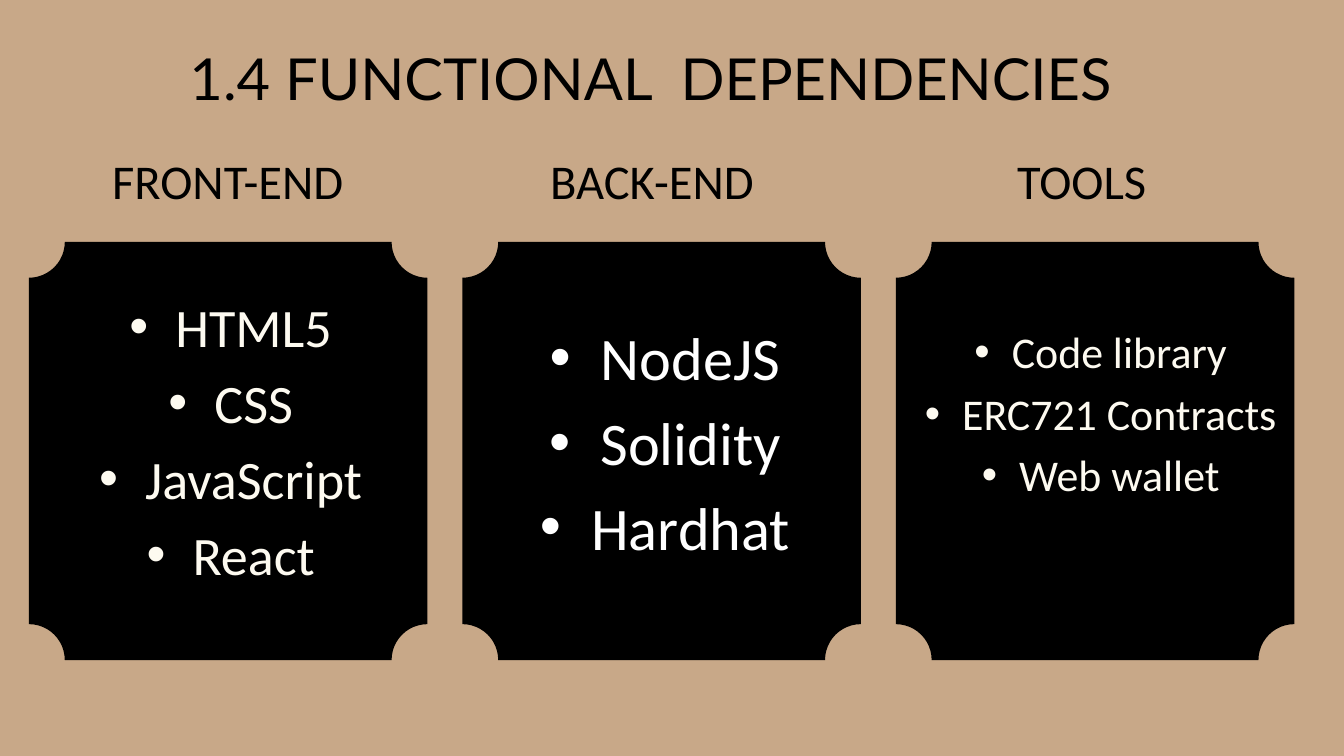
from lxml.etree import SubElement
from pptx import Presentation
from pptx.dml.color import RGBColor as RGB
from pptx.enum.shapes import MSO_SHAPE as Shape
from pptx.enum.text import MSO_ANCHOR as Anchor, MSO_AUTO_SIZE as AutoSize, PP_ALIGN as Align
from pptx.oxml.ns import qn
from pptx.util import Pt

TITLE = "1.4 FUNCTIONAL  DEPENDENCIES"
# Boxes are left, top, width, height in points.
COLUMNS = [
    dict(heading="FRONT-END", heading_box=(76, 151, 336, 70),
         items=["HTML5", "CSS", "JavaScript", "React"],
         items_box=(9, 303, 427, 321), size=58, color="FDFAF0"),
    dict(heading="BACK-END", heading_box=(552, 151, 293, 70),
         items=["NodeJS", "Solidity", "Hardhat"],
         items_box=(473, 330.5, 424, 267), size=64.7, color="FFFFFF"),
    dict(heading="TOOLS", heading_box=(1065, 151, 188, 70),
         items=["Code library", "ERC721 Contracts", "Web wallet"],
         items_box=(946, 339, 427, 258), size=47, color="FDFAF0"),
]
THEME = dict(background="C8A888", panel="000000", ink="000000",
             title_font="Lato", body_font="Calibri",
             title_size=62, heading_size=52, leading=1.4, indent=1.7)
SLIDE_SIZE = (1440, 810)
TITLE_BOX = (157, 33, 1081, 85)
PANEL_BOX = (31, 259.2, 427, 448)
PANEL_PITCH = 464.4
PANEL_NOTCH = 0.09


def place(shape, box):
    for side, length in zip(("left", "top", "width", "height"), box):
        setattr(shape, side, Pt(length))


def add_bullet(paragraph, indent):
    properties = paragraph._p.get_or_add_pPr()
    properties.set("marL", str(Pt(indent)))
    properties.set("indent", str(-Pt(indent / 2)))
    SubElement(properties, qn("a:buFont"), typeface="Arial")
    SubElement(properties, qn("a:buChar"), char="•")


def write(frame, lines, size, color, font, bulleted=False):
    """Fill a text frame with centred lines whose leading follows the type size."""
    frame_format = dict(word_wrap=True, auto_size=AutoSize.NONE, vertical_anchor=Anchor.TOP,
                        margin_left=0, margin_top=0, margin_right=0, margin_bottom=0)
    for name, value in frame_format.items():
        setattr(frame, name, value)
    for number, line in enumerate(lines):
        paragraph = frame.add_paragraph() if number else frame.paragraphs[0]
        paragraph.text = line
        paragraph.alignment = Align.CENTER
        paragraph.line_spacing = Pt(round(size * THEME["leading"], 1))
        if bulleted:
            paragraph.level = 1
            add_bullet(paragraph, size * THEME["indent"])
        paragraph.font.size = Pt(size)
        paragraph.font.name = font
        paragraph.font.color.rgb = RGB.from_string(color)


def add_text(slide, box, *content, **options):
    write(slide.shapes.add_textbox(*map(Pt, box)).text_frame, *content, **options)


def add_panel(slide, number):
    left, *rest = PANEL_BOX
    box = (left + number * PANEL_PITCH, *rest)
    panel = slide.shapes.add_shape(Shape.PLAQUE, *map(Pt, box))
    panel.adjustments[0] = PANEL_NOTCH
    panel.shadow.inherit = False
    panel.fill.solid()
    panel.fill.fore_color.rgb = RGB.from_string(THEME["panel"])
    panel.line.fill.background()


def main():
    deck = Presentation()
    deck.slide_width, deck.slide_height = map(Pt, SLIDE_SIZE)
    slide = deck.slides.add_slide(deck.slide_layouts[5])
    slide.background.fill.solid()
    slide.background.fill.fore_color.rgb = RGB.from_string(THEME["background"])

    title = slide.shapes.title
    place(title, TITLE_BOX)
    write(title.text_frame, [TITLE], THEME["title_size"], THEME["ink"], THEME["title_font"])

    for number, column in enumerate(COLUMNS):
        add_panel(slide, number)
        add_text(slide, column["heading_box"], [column["heading"]],
                 THEME["heading_size"], THEME["ink"], THEME["body_font"])
        add_text(slide, column["items_box"], column["items"],
                 column["size"], column["color"], THEME["body_font"], bulleted=True)
    deck.save("out.pptx")


if __name__ == "__main__":
    main()
